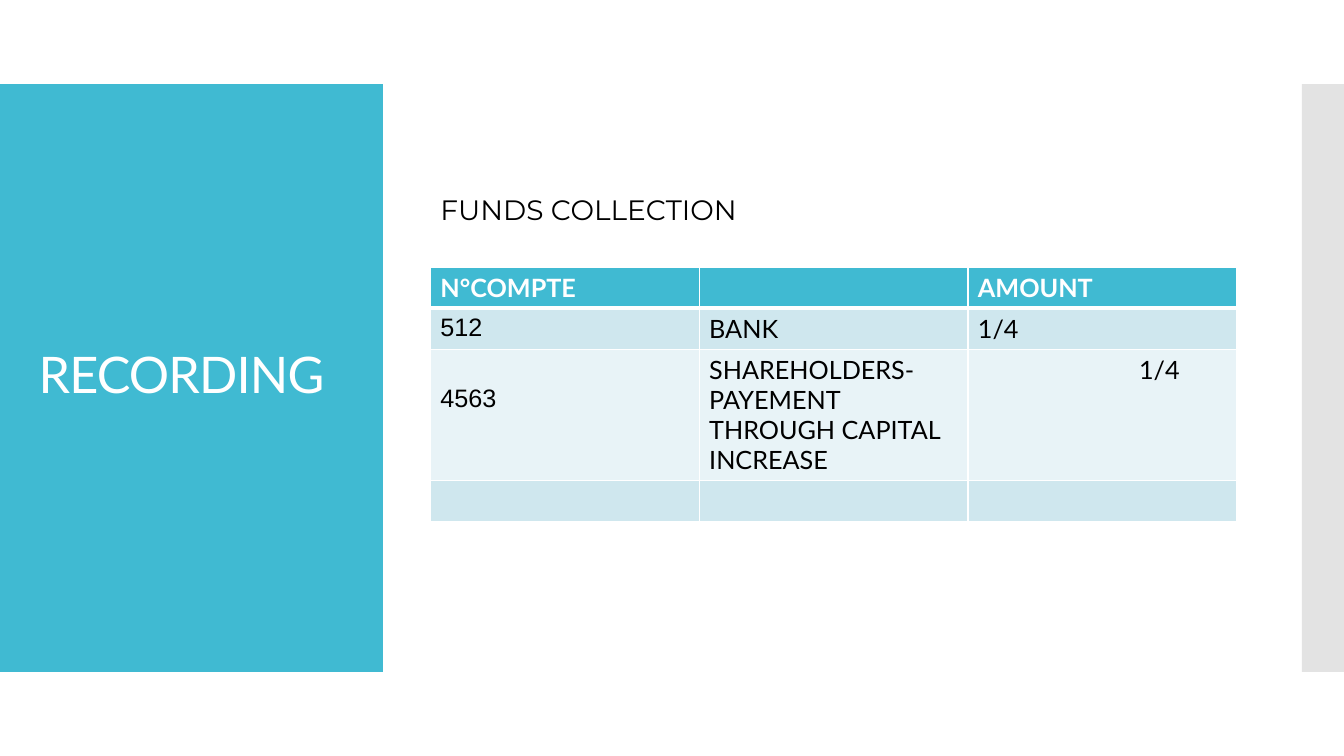
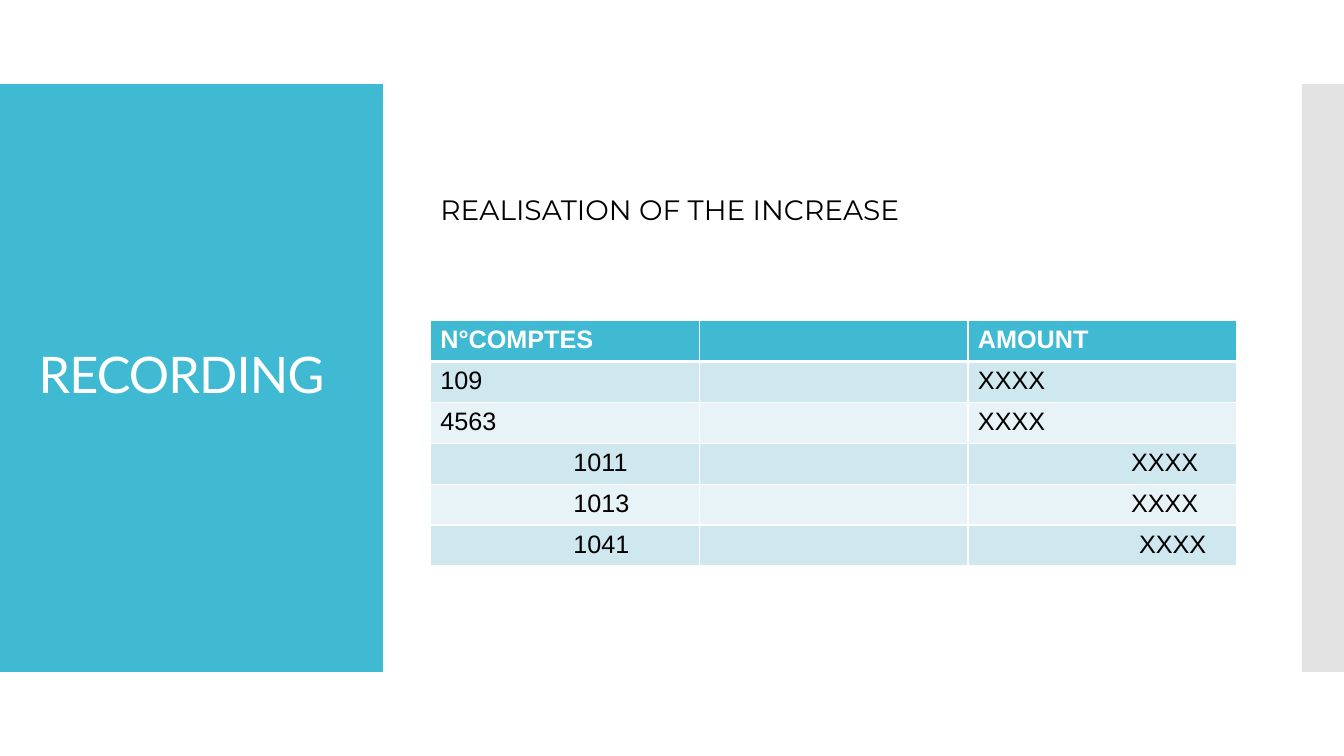
from lxml import etree
from pptx import Presentation
from pptx.dml.color import RGBColor
from pptx.enum.shapes import MSO_SHAPE
from pptx.enum.text import MSO_ANCHOR, MSO_AUTO_SIZE, PP_ALIGN
from pptx.oxml.ns import qn
from pptx.util import Cm, Pt

RECT = MSO_SHAPE.RECTANGLE
MIDDLE = MSO_ANCHOR.MIDDLE
FIXED = MSO_AUTO_SIZE.NONE
LEFT = PP_ALIGN.LEFT

TEAL = RGBColor(0x40, 0xBA, 0xD2)
GREY = RGBColor(0xE3, 0xE3, 0xE3)
DARK = RGBColor(0xCF, 0xE7, 0xEE)
PALE = RGBColor(0xE8, 0xF3, 0xF7)
WHITE = RGBColor(0xFF, 0xFF, 0xFF)
BLACK = RGBColor(0, 0, 0)

LATO, ARIAL, MONT = "Lato", "Arial", "Montserrat"

# Left and width of the side bands, in cm
BANDS = [(0, 9.65, TEAL), (32.81, 1.06, GREY)]
EDGE, WIDTH, ROW = 10.85, 20.32, 1.03
PAD = 0.25

# Indents are extra left margins in cm, keyed by (row, column)
PAGES = [
    dict(
        head="FUNDS COLLECTION", font=LATO, top=6.74,
        rows=[
            ["N°COMPTE", "", "AMOUNT"],
            ["512", "BANK", "1/4"],
            ["4563", "SHAREHOLDERS-PAYEMENT THROUGH CAPITAL INCREASE", "1/4"],
            ["", "", ""],
        ],
        tall={2: 3.3}, drop={(2, 0): 0.76}, indent={(2, 2): 4.06},
    ),
    dict(
        head="REALISATION OF THE INCREASE", font=ARIAL, top=8.08,
        rows=[
            ["N°COMPTES", "", "AMOUNT"],
            ["109", "", "XXXX"],
            ["4563", "", "XXXX"],
            ["1011", "", "XXXX"],
            ["1013", "", "XXXX"],
            ["1041", "", "XXXX"],
        ],
        tall={}, drop={},
        indent={(3, 0): 3.35, (4, 0): 3.35, (5, 0): 3.35,
                (3, 2): 3.86, (4, 2): 3.86, (5, 2): 4.06},
    ),
]


def write(frame, text, font, size, color, bold=False):
    """Add one formatted run to the first paragraph and return it."""
    run = frame.paragraphs[0].add_run()
    run.text = text
    run.font.name = font
    run.font.size = Pt(size)
    run.font.color.rgb = color
    run.font.bold = bold
    return run


def border(cell, row):
    """Draw white cell edges, thick between the header and the body."""
    props = cell._tc.get_or_add_tcPr()
    thick = {"lnB": row == 0, "lnT": row == 1}
    for side in ("lnL", "lnR", "lnT", "lnB"):
        width = Pt(3 if thick.get(side) else 1)
        line = etree.SubElement(props, qn(f"a:{side}"), w=str(width))
        fill = etree.SubElement(line, qn("a:solidFill"))
        etree.SubElement(fill, qn("a:srgbClr"), val=str(WHITE))


prs = Presentation()
prs.slide_width, prs.slide_height = Cm(33.87), Cm(19.05)

for page in PAGES:
    slide = prs.slides.add_slide(prs.slide_layouts[5])
    shapes = slide.shapes

    # Side bands, placed behind the title
    title = shapes.title
    for left, width, color in BANDS:
        band = shapes.add_shape(RECT, Cm(left), Cm(2.12), Cm(width), Cm(14.81))
        band.shadow.inherit = False
        band.fill.solid()
        band.fill.fore_color.rgb = color
        band.line.fill.background()
        title._element.addprevious(band._element)

    title.left, title.top = Cm(0.72), Cm(3.12)
    title.width, title.height = Cm(8.18), Cm(12.78)
    frame = title.text_frame
    frame.word_wrap = True
    frame.auto_size = FIXED
    frame.vertical_anchor = MIDDLE
    frame.paragraphs[0].alignment = LEFT
    frame.paragraphs[0].line_spacing = 0.9
    run = write(frame, "RECORDING", LATO, 36, WHITE)
    run.font._element.set("spc", "-60")

    box = shapes.add_textbox(Cm(EDGE), Cm(4.72), Cm(WIDTH), Cm(1.12))
    box.text_frame.word_wrap = True
    write(box.text_frame, page["head"], MONT, 20, BLACK)

    # Account table
    rows = page["rows"]
    highs = [page["tall"].get(r, ROW) for r in range(len(rows))]
    table = shapes.add_table(len(rows), 3, Cm(EDGE), Cm(page["top"]),
                             Cm(WIDTH), Cm(sum(highs))).table
    for r, texts in enumerate(rows):
        table.rows[r].height = Cm(highs[r])
        for c, text in enumerate(texts):
            cell = table.cell(r, c)
            border(cell, r)
            cell.fill.solid()
            cell.fill.fore_color.rgb = TEAL if r == 0 else DARK if r % 2 else PALE
            cell.margin_left = Cm(PAD + page["indent"].get((r, c), 0))
            cell.margin_top = Cm(0.13 + page["drop"].get((r, c), 0))
            if text:
                font = ARIAL if text.isdigit() else page["font"]
                write(cell.text_frame, text, font, 18,
                      BLACK if r else WHITE, r == 0)

prs.save("out.pptx")
